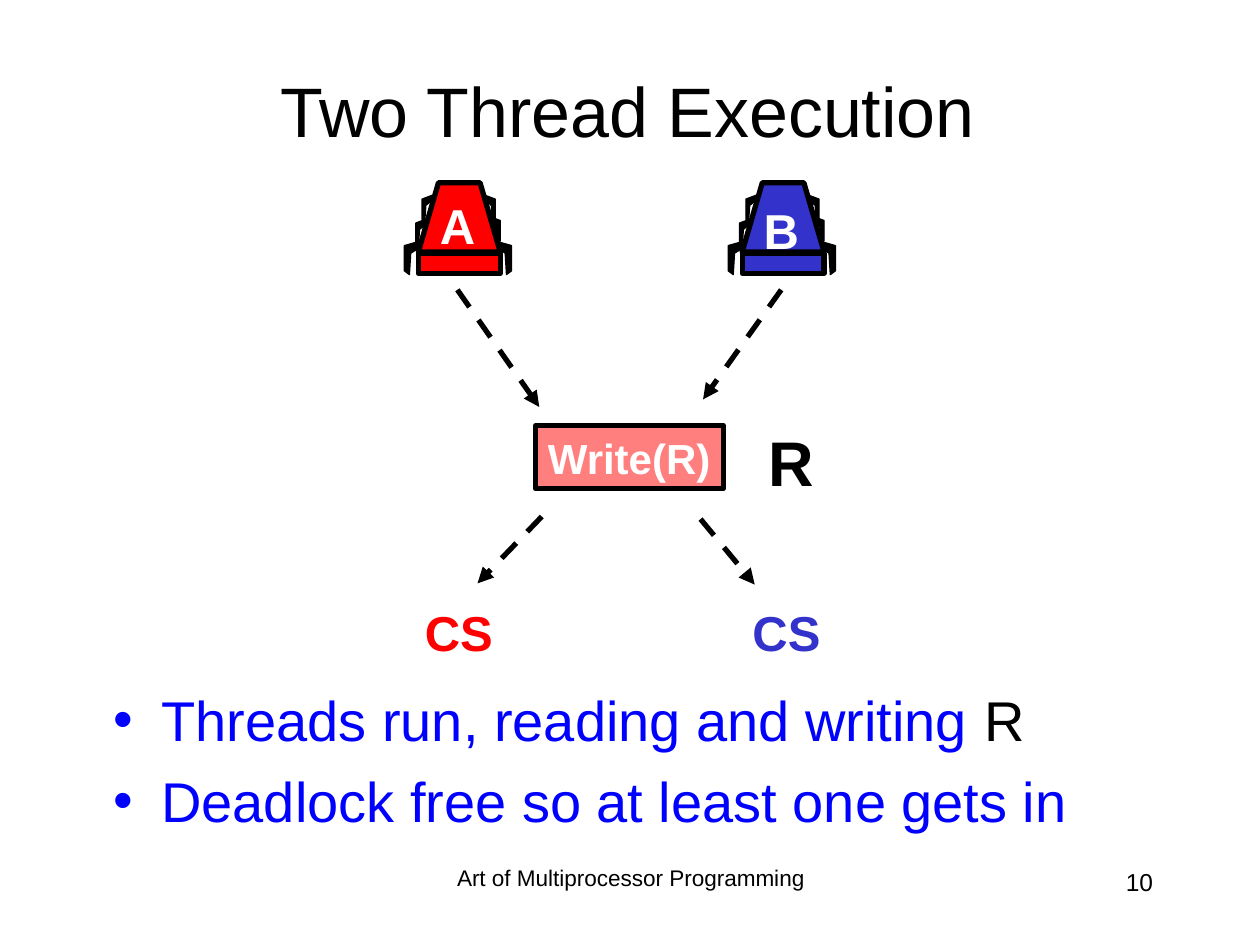
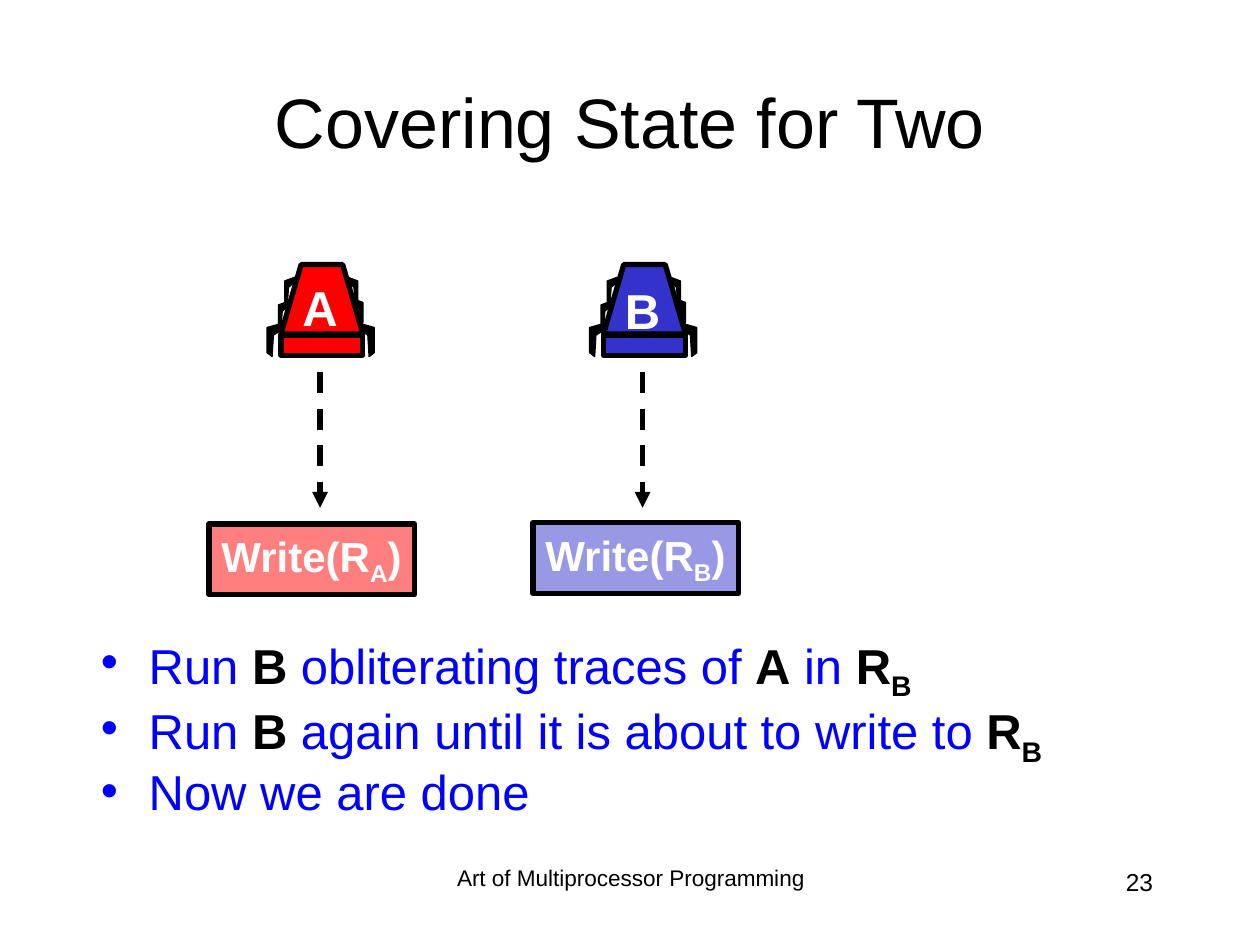
"""Build two slides on threads that write shared registers."""
from lxml.etree import SubElement
from pptx import Presentation
from pptx.dml.color import RGBColor
from pptx.enum.dml import MSO_LINE
from pptx.enum.shapes import MSO_CONNECTOR, MSO_SHAPE
from pptx.enum.text import MSO_ANCHOR, MSO_AUTO_SIZE, PP_ALIGN
from pptx.oxml.ns import qn
from pptx.util import Inches, Pt

FONT = "Arial"
BLACK, WHITE, BLUE = "000000", "FFFFFF", "0000FF"
RED, NAVY = "FF0000", "3333CC"
FOOTER = "Art of Multiprocessor Programming"
LEFT, MID, RIGHT = PP_ALIGN.LEFT, PP_ALIGN.CENTER, PP_ALIGN.RIGHT

LOW = [(0, 0), (.14, .04), (.14, .24), (.1, .27), (.09, .1), (.01, .05)]
HIGH = [(0, 0), (.08, .03), (.08, .19), (.06, .22), (.05, .08), (0, .04)]
HOOD = [(0, .55), (.16, 0), (.49, 0), (.65, .55)]
BACK = [(LOW, .6, .46, 1), (HIGH, .57, .27, 1),
        (LOW, .03, .46, -1), (HIGH, .06, .29, -1)]
FRONT = [(HIGH, .53, .1, 1), (HIGH, .11, .1, -1)]

SUB_A, SUB_B = ("A", "sub"), ("B", "sub")
KEY_A, KEY_B, KEY_R = ("A", "key"), ("B", "key"), ("R", "key")
KEY_SUB = ("B", "keysub")

SLIDES = [
    dict(title="Two Thread Execution", spot=(.73, .24, 8.5, 1.25), page="10",
         list=(.8, 5.39, 8.5, 1.37), size=32, gap=8, lead=1,
         items=[["Threads run, reading and writing ", ("R", "dark")],
                ["Deadlock free so at least one gets in"]],
         threads=[("B", 5.89, 1.45, NAVY, .09), ("A", 3.32, 1.45, RED, .05)],
         writes=[((4.25, 3.38, 1.49, .5), RED, ["Write(R)"])],
         words=[((5.87, 4.73, .74, .57), "CS", 28, NAVY, RIGHT),
                ((3.27, 4.73, .74, .57), "CS", 28, RED, RIGHT),
                ((6, 3.31, .56, .7), "R", 36, BLACK, LEFT)],
         arrows=[(3.63, 2.3, 4.28, 3.23), (6.2, 2.3, 5.58, 3.17),
                 (5.56, 4.12, 5.99, 4.64), (4.3, 4.1, 3.79, 4.63)]),
    dict(title="Covering State for Two", spot=(.75, .33, 8.5, 1.25), page="23",
         list=(.7, 5.04, 8.48, 1.63), size=28, gap=7, lead=.8,
         items=[["Run ", KEY_B, " obliterating traces of ", KEY_A, " in ",
                 KEY_R, KEY_SUB],
                ["Run ", KEY_B, " again until it is about to write to ",
                 KEY_R, KEY_SUB],
                ["Now we are done"]],
         threads=[("B", 4.79, 2.1, NAVY, .08), ("A", 2.23, 2.1, RED, .05)],
         writes=[((4.23, 4.15, 1.63, .56), NAVY, ["Write(R", SUB_B, ")"]),
                 ((1.66, 4.16, 1.63, .56), RED, ["Write(R", SUB_A, ")"])],
         words=[],
         arrows=[(2.54, 2.95, 2.54, 4.03), (5.1, 2.95, 5.1, 4.03)]),
]


def color(code):
    return RGBColor.from_string(code)


def place(shape, box):
    shape.left, shape.top, shape.width, shape.height = map(Inches, box)


def write(par, parts, size, tint, bold=False, align=LEFT):
    par.alignment = align
    for part in parts:
        text, kind = (part, "") if isinstance(part, str) else part
        run = par.add_run()
        run.text = text
        font = run.font
        font.name, font.size = FONT, Pt(size)
        font.bold = bold or "key" in kind
        font.color.rgb = color(BLACK if "key" in kind or kind == "dark" else tint)
        if "sub" in kind:
            run._r.get_or_add_rPr().set("baseline", "-25000")


def paint(shape, fill, width):
    shape.shadow.inherit = False
    shape.fill.solid()
    shape.fill.fore_color.rgb = color(fill)
    shape.line.color.rgb = color(BLACK)
    shape.line.width = Pt(width)


def label(shapes, box, text, size, tint, align, bold=True):
    shape = shapes.add_textbox(*map(Inches, box))
    frame = shape.text_frame
    frame.word_wrap = not bold
    if bold:
        frame.auto_size = MSO_AUTO_SIZE.SHAPE_TO_FIT_TEXT
    write(frame.paragraphs[0], [text], size, tint, bold, align)
    return frame.paragraphs[0]


def outline(shapes, points, x, y, side, fill, width):
    spots = [(Inches(x + side * dx), Inches(y + dy)) for dx, dy in points]
    pen = shapes.build_freeform(*spots[0], scale=1.0)
    pen.add_line_segments(spots[1:], close=True)
    paint(pen.convert_to_shape(), fill, width)


def thread(slide, name, x, y, tint, dip):
    shapes = slide.shapes.add_group_shape().shapes

    def legs(group):
        for points, dx, dy, side in group:
            outline(shapes, points, x + dx, y + dy, side, BLACK, .75)

    legs(BACK)
    outline(shapes, HOOD, x, y, 1, tint, 3)
    base = shapes.add_shape(MSO_SHAPE.RECTANGLE,
                            *map(Inches, (x, y + .56, .65, .16)))
    paint(base, tint, 3)
    legs(FRONT)
    label(shapes, (x + .07, y + dip, .48, .57), name, 28, WHITE, MID)


def register(slide, box, tint, parts):
    shape = slide.shapes.add_shape(MSO_SHAPE.RECTANGLE, *map(Inches, box))
    paint(shape, tint, 3)
    fill = shape._element.spPr.find(qn("a:solidFill")).find(qn("a:srgbClr"))
    SubElement(fill, qn("a:alpha"), val="50000")
    frame = shape.text_frame
    frame.word_wrap = False
    frame.vertical_anchor = MSO_ANCHOR.TOP
    frame.auto_size = MSO_AUTO_SIZE.SHAPE_TO_FIT_TEXT
    write(frame.paragraphs[0], parts, 24, WHITE, True)


def arrow(slide, ends):
    wire = slide.shapes.add_connector(MSO_CONNECTOR.STRAIGHT, *map(Inches, ends))
    wire.line.color.rgb = color(BLACK)
    wire.line.width = Pt(3)
    wire.line.dash_style = MSO_LINE.DASH
    SubElement(wire.line._get_or_add_ln(), qn("a:tailEnd"), type="triangle")
    SubElement(wire._element.spPr, qn("a:effectLst"))


def bullets(shape, data):
    place(shape, data["list"])
    frame = shape.text_frame
    frame.auto_size = MSO_AUTO_SIZE.NONE
    for i, parts in enumerate(data["items"]):
        par = frame.add_paragraph() if i else frame.paragraphs[0]
        write(par, parts, data["size"], BLUE)
        par.space_before = Pt(data["gap"])
        par.line_spacing = data["lead"]
        props = par._p.get_or_add_pPr()
        props.set("marL", str(Inches(.38)))
        props.set("indent", str(-Inches(.38)))


def build(deck, data):
    slide = deck.slides.add_slide(deck.slide_layouts[1])
    shapes = slide.shapes
    foot = label(shapes, (3.42, 6.83, 3.17, .5), FOOTER, 12.9, BLACK, MID, False)
    foot.line_spacing = .9
    label(shapes, (7.17, 6.83, 2.08, .5), data["page"], 14, BLACK, RIGHT, False)
    title = shapes.title
    place(title, data["spot"])
    title.text_frame.auto_size = MSO_AUTO_SIZE.NONE
    title.text_frame.vertical_anchor = MSO_ANCHOR.MIDDLE
    write(title.text_frame.paragraphs[0], [data["title"]], 40, BLACK, align=MID)
    bullets(slide.placeholders[1], data)
    for item in data["threads"]:
        thread(slide, *item)
    for item in data["writes"]:
        register(slide, *item)
    for item in data["words"]:
        label(shapes, *item)
    for ends in data["arrows"]:
        arrow(slide, ends)


def main():
    deck = Presentation()
    deck.slide_width, deck.slide_height = Inches(10), Inches(7.5)
    for data in SLIDES:
        build(deck, data)
    deck.save("out.pptx")


if __name__ == "__main__":
    main()
